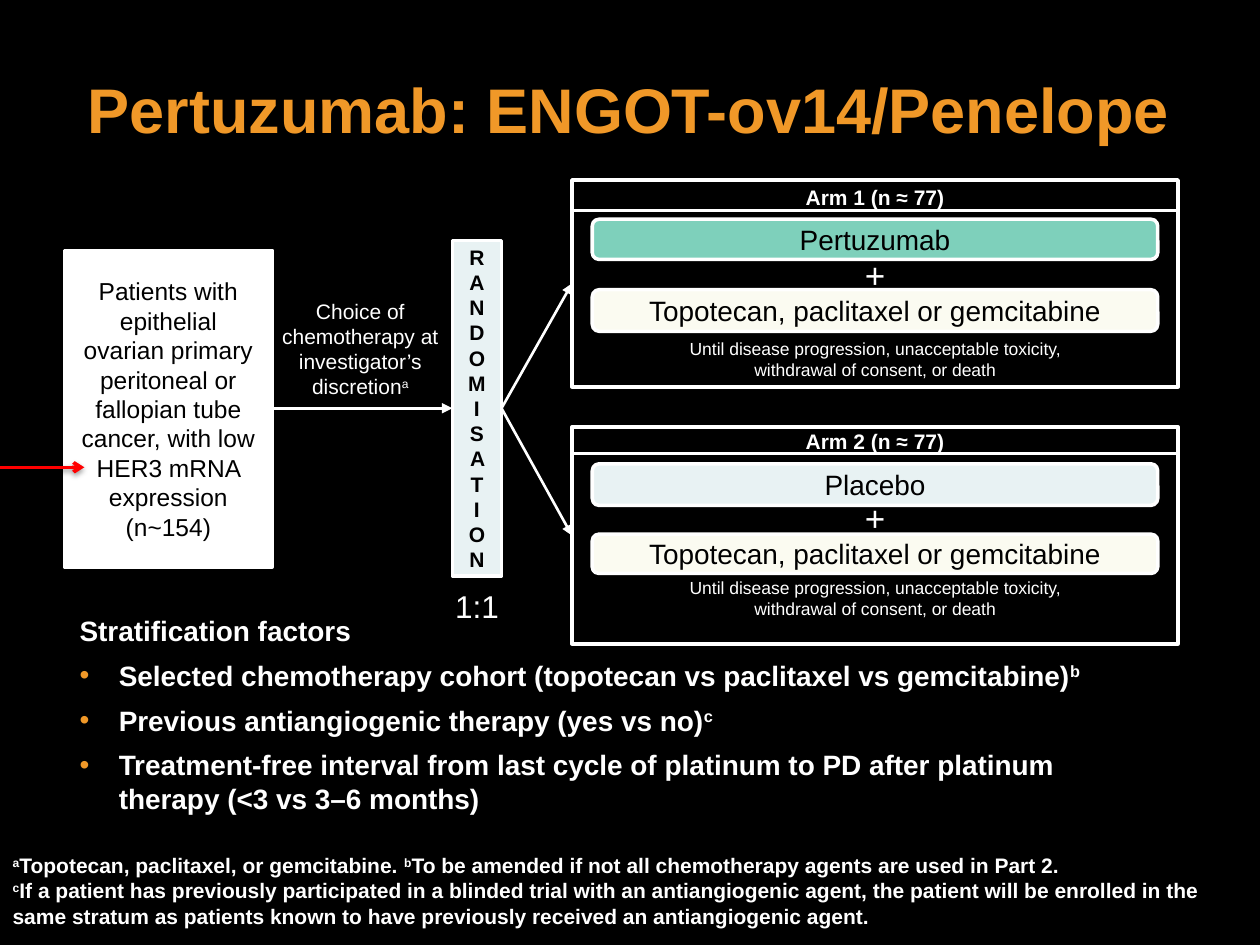
from dataclasses import dataclass

from lxml.etree import SubElement
from pptx import Presentation
from pptx.dml.color import RGBColor as Rgb
from pptx.enum.shapes import MSO_CONNECTOR as Connector, MSO_SHAPE as Preset
from pptx.enum.text import MSO_ANCHOR as Anchor, MSO_AUTO_SIZE as AutoSize, PP_ALIGN as Align
from pptx.oxml.ns import qn
from pptx.util import Cm, Pt


@dataclass(frozen=True)
class Theme:
    """Colours, font and type sizes."""
    black: str = "000000"
    white: str = "FFFFFF"
    orange: str = "F09828"
    navy: str = "000080"
    red: str = "FF0000"
    teal: str = "7ED0BB"
    mist: str = "E8F2F3"
    cream: str = "FBFBF1"
    font: str = "Arial"
    title: int = 36
    plus: int = 20
    ratio: int = 18
    body: int = 16
    patients: int = 14
    label: int = 12
    small: int = 10


@dataclass(frozen=True)
class Box:
    """A rectangle in centimetres."""
    left: float
    top: float
    width: float
    height: float

    @property
    def middle(self):
        """Return the vertical centre."""
        return self.top + self.height / 2

    @property
    def right(self):
        """Return the right edge."""
        return self.left + self.width

    def centred(self, top, width, height):
        """Return a horizontally centred box at an offset from the top."""
        return Box(self.left + (self.width - width) / 2, self.top + top, width, height)

    def lengths(self):
        """Return the four lengths."""
        return [Cm(value) for value in (self.left, self.top, self.width, self.height)]


THEME = Theme()
UNTIL = "Until disease progression, unacceptable toxicity, withdrawal of consent, or death"
CHEMOTHERAPY = "Topotecan, paclitaxel or gemcitabine"
FACTORS = [
    "Selected chemotherapy cohort (topotecan vs paclitaxel vs gemcitabine)^b",
    "Previous antiangiogenic therapy (yes vs no)^c",
    "Treatment-free interval from last cycle of platinum to PD after platinum "
    "therapy (<3 vs 3–6 months)",
]
FOOTNOTE = (
    "^a^Topotecan, paclitaxel, or gemcitabine. ^b^To be amended if not all chemotherapy "
    "agents are used in Part 2. \n^c^If a patient has previously participated in a blinded "
    "trial with an antiangiogenic agent, the patient will be enrolled in the same stratum as "
    "patients known to have previously received an antiangiogenic agent.")


def apply_format(target, **values):
    """Set each named attribute on the target."""
    for name, value in values.items():
        setattr(target, name, value)


def add_shadow(properties, color, alpha, blur, distance, angle):
    """Add an outer shadow to shape or run properties."""
    effects = SubElement(properties, qn("a:effectLst"))
    shadow = SubElement(effects, qn("a:outerShdw"), blurRad=str(Pt(blur)),
                        dist=str(Pt(distance)), dir=str(angle * 60000))
    tint = SubElement(shadow, qn("a:srgbClr"), val=color)
    SubElement(tint, qn("a:alpha"), val=str(alpha * 1000))


def write_paragraph(paragraph, text, size, color=THEME.white, bold=False, **layout):
    """Write text in which carets enclose superscripts and newlines break lines."""
    apply_format(paragraph, **layout)
    for index, part in enumerate(text.split("^")):
        for number, line in enumerate(part.split("\n")):
            if number:
                paragraph.add_line_break()
            if line:
                run = paragraph.add_run()
                run.text = line
                apply_format(run.font, name=THEME.font, size=Pt(size), bold=bold)
                run.font.color.rgb = Rgb.from_string(color)
                if index % 2:
                    run.font._element.set("baseline", "30000")


def place_frame(shape, box, anchor):
    """Position a placeholder and set up its text frame."""
    apply_format(shape, **dict(zip(("left", "top", "width", "height"), box.lengths())))
    apply_format(shape.text_frame, word_wrap=True, auto_size=AutoSize.NONE,
                 vertical_anchor=anchor)
    return shape.text_frame


def add_label(slide, box, text, size, bold=False):
    """Add a centred white text box."""
    frame = slide.shapes.add_textbox(*box.lengths()).text_frame
    frame.word_wrap = True
    write_paragraph(frame.paragraphs[0], text, size, bold=bold, alignment=Align.CENTER)


def add_panel(slide, box, preset=Preset.RECTANGLE, fill=None, lines=(), size=THEME.body,
              bold=False):
    """Add a white-edged shape with centred black text."""
    shape = slide.shapes.add_shape(preset, *box.lengths())
    shape.shadow.inherit = False
    if fill:
        shape.fill.solid()
        shape.fill.fore_color.rgb = Rgb.from_string(fill)
    else:
        shape.fill.background()
    shape.line.color.rgb = Rgb.from_string(THEME.white)
    shape.line.width = Pt(2)
    frame = shape.text_frame
    apply_format(frame, word_wrap=True, vertical_anchor=Anchor.MIDDLE)
    for index, line in enumerate(lines):
        paragraph = frame.add_paragraph() if index else frame.paragraphs[0]
        write_paragraph(paragraph, line, size, THEME.black, bold, alignment=Align.CENTER)


def add_line(slide, start, end, head=None, color=THEME.white, width=1.5, shadow=None):
    """Add a straight line, optionally with an arrowhead and a shadow."""
    line = slide.shapes.add_connector(Connector.STRAIGHT, *map(Cm, start + end))
    line.line.color.rgb = Rgb.from_string(color)
    line.line.width = Pt(width)
    if head:
        SubElement(line.line._get_or_add_ln(), qn("a:tailEnd"), type=head)
    properties = line._element.spPr
    if shadow:
        add_shadow(properties, *shadow)
    else:
        SubElement(properties, qn("a:effectLst"))


def place_title(slide, box):
    """Fill the title placeholder."""
    paragraph = place_frame(slide.shapes.title, box, Anchor.TOP).paragraphs[0]
    write_paragraph(paragraph, "Pertuzumab: ENGOT-ov14/Penelope", THEME.title, THEME.orange,
                    True, alignment=Align.CENTER, line_spacing=0.85)
    add_shadow_target = paragraph.runs[0].font._element
    latin = add_shadow_target.find(qn("a:latin"))
    add_shadow(add_shadow_target, THEME.navy, 100, 0, 2.8, 45)
    latin.addprevious(add_shadow_target.find(qn("a:effectLst")))


def place_factors(slide, box):
    """Fill the body placeholder with the stratification factors."""
    frame = place_frame(slide.placeholders[1], box, Anchor.TOP)
    for index, text in enumerate(["Stratification factors", *FACTORS]):
        paragraph = frame.add_paragraph() if index else frame.paragraphs[0]
        properties = paragraph._p.get_or_add_pPr()
        apply_format(paragraph, space_before=Pt(6.4 if index else 0))
        properties.set("marL", str(Cm(0.79)))
        properties.set("indent", str(Cm(-0.79)))
        if index:
            SubElement(SubElement(properties, qn("a:buClr")), qn("a:srgbClr"), val=THEME.orange)
            SubElement(properties, qn("a:buChar"), char="•")
        else:
            SubElement(properties, qn("a:buNone"))
        write_paragraph(paragraph, text, THEME.body, bold=True)


def place_footnote(slide, box):
    """Fill the second body placeholder with the footnotes."""
    paragraph = place_frame(slide.placeholders[2], box, Anchor.BOTTOM).paragraphs[0]
    properties = paragraph._p.get_or_add_pPr()
    properties.set("marL", "0")
    properties.set("indent", "0")
    SubElement(properties, qn("a:buNone"))
    write_paragraph(paragraph, FOOTNOTE, THEME.label, bold=True, space_before=Pt(0))


def place_arm(slide, box, name, drug, fill, offsets, heights):
    """Draw one treatment arm, its parts offset from the top of the box."""
    label, rule, treatment, plus, chemotherapy, until = offsets
    add_panel(slide, box)
    add_label(slide, box.centred(label, 13.11, 0.76), name, THEME.label, True)
    add_line(slide, (box.left, box.top + rule), (box.right, box.top + rule))
    pills = ((treatment, drug, fill), (chemotherapy, CHEMOTHERAPY, THEME.cream))
    for (top, text, color), height in zip(pills, heights):
        add_panel(slide, box.centred(top, 11.4, height), Preset.ROUNDED_RECTANGLE, color, [text])
    add_label(slide, box.centred(plus, 12.4, 1.12), "+", THEME.plus)
    add_label(slide, box.centred(until, 9.19, 1.12), UNTIL, THEME.small)


def place_entry(slide, patients, randomisation, arms):
    """Draw the path from patients through randomisation to the arms."""
    add_panel(slide, patients, fill=THEME.white, size=THEME.patients, lines=[
        "Patients with epithelial ovarian primary peritoneal or fallopian tube cancer, "
        "with low HER3 mRNA expression (n~154)"])
    add_panel(slide, randomisation, fill=THEME.mist, size=THEME.label, bold=True,
              lines=["RANDOM", "I\nSAT\nI\nON"])
    middle = randomisation.middle
    add_line(slide, (patients.right, middle), (randomisation.left, middle), "triangle")
    for arm in arms:
        add_line(slide, (randomisation.right, middle), (arm.left, arm.middle), "triangle")
    add_label(slide, Box(patients.right - 0.18, middle - 2.34, 3.91, 2.31),
              "Choice of chemotherapy at investigator’s discretion^a", THEME.label)
    add_label(slide, randomisation.centred(6.86, 1.85, 1.02), "1:1", THEME.ratio)
    add_line(slide, (0, 9.42), (1.7, 9.42), "arrow", THEME.red, 2,
             (THEME.black, 38, 3.1, 1.6, 90))


def main():
    """Build and save the slide."""
    presentation = Presentation()
    apply_format(presentation, slide_width=Cm(25.4), slide_height=Cm(19.05))
    slide = presentation.slides.add_slide(presentation.slide_layouts[3])
    slide.background.fill.solid()
    slide.background.fill.fore_color.rgb = Rgb.from_string(THEME.black)
    arms = Box(11.53, 3.63, 12.22, 4.17), Box(11.53, 8.61, 12.22, 4.37)
    place_title(slide, Box(1.17, 1.52, 23.01, 2.57))
    place_factors(slide, Box(1.35, 12.24, 22.15, 4.5))
    place_entry(slide, Box(1.3, 5.05, 4.19, 6.38), Box(9.12, 4.85, 0.99, 6.76), arms)
    place_arm(slide, arms[0], "Arm 1 (n ≈ 77)", "Pertuzumab", THEME.teal,
              (-0.03, 0.61, 0.79, 1.35, 2.21, 3.05), (0.81, 0.84))
    place_arm(slide, arms[1], "Arm 2 (n ≈ 77)", "Placebo", THEME.mist,
              (-0.1, 0.53, 0.74, 1.27, 2.16, 2.9), (0.84, 0.79))
    place_footnote(slide, Box(0, 17.65, 25.4, 1.19))
    presentation.save("out.pptx")


if __name__ == "__main__":
    main()
